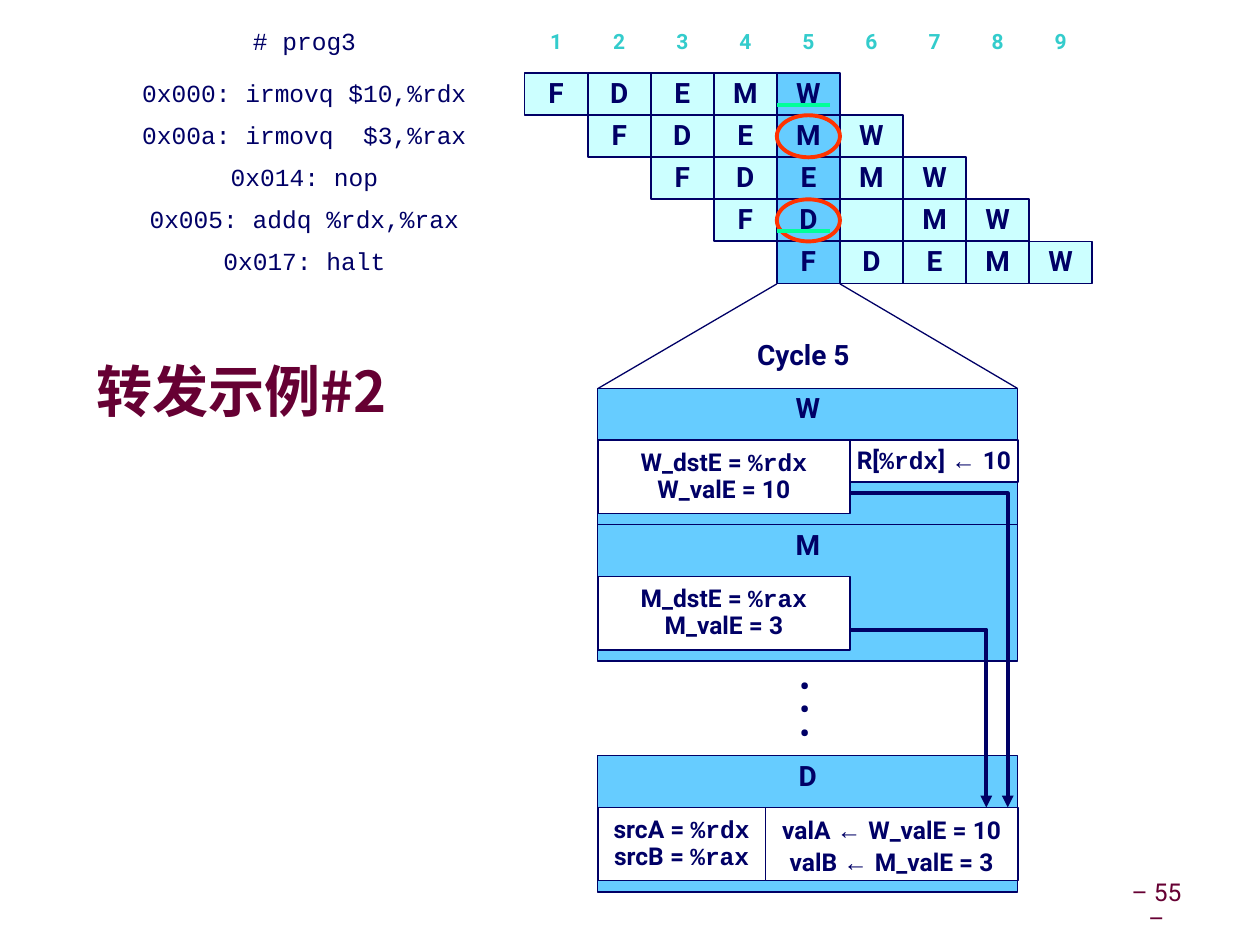
import pptx
import pptx.util
import pptx.dml.color
import pptx.enum.shapes
import pptx.enum.text
import pptx.oxml
import pptx.oxml.ns

Inches = pptx.util.Inches
Pt = pptx.util.Pt
ANCHOR = pptx.enum.text.MSO_ANCHOR
PRESET = pptx.enum.shapes.MSO_SHAPE

COLORS = {
    "navy": "000066", "maroon": "660033", "teal": "33CCCC", "white": "FFFFFF",
    "pale": "CCFFFF", "blue": "66CCFF", "red": "FF3300", "green": "00FF99",
}
SANS, MONO, ARROW, CJK = "Roboto", "Courier New", "Arial", "Noto Sans CJK SC"


def color(name):
    return pptx.dml.color.RGBColor.from_string(COLORS[name])


def write_text(frame, paragraphs, size=16, font=SANS, ink="navy", bold=True,
               spacing=0.9, anchor=ANCHOR.MIDDLE, wrap=False):
    """Each paragraph is a string or a list of (text, font) runs."""
    frame.word_wrap = wrap
    frame.auto_size = pptx.enum.text.MSO_AUTO_SIZE.NONE
    frame.vertical_anchor = anchor
    for index, content in enumerate(paragraphs):
        paragraph = frame.add_paragraph() if index else frame.paragraphs[0]
        paragraph.alignment = pptx.enum.text.PP_ALIGN.CENTER
        paragraph.line_spacing = spacing
        paragraph.space_before = Pt(0)
        runs = [(content, font)] if isinstance(content, str) else content
        for text, run_font in runs:
            run = paragraph.add_run()
            run.text = text
            run.font.name = run_font
            run.font.size = Pt(size)
            run.font.bold = bold
            run.font.color.rgb = color(ink)
            if run_font == CJK:
                latin = run.font._element.find(pptx.oxml.ns.qn("a:latin"))
                latin.addnext(latin.makeelement(
                    pptx.oxml.ns.qn("a:ea"), {"typeface": CJK}))


class PipelineSlide:
    def __init__(self, presentation):
        self.slide = presentation.slides.add_slide(presentation.slide_layouts[5])
        self.shapes = self.slide.shapes

    def title(self, text, box, **text_format):
        shape = self.shapes.title
        shape.left, shape.top, shape.width, shape.height = map(Inches, box)
        write_text(shape.text_frame, [text], **text_format)

    def text(self, paragraphs, box, **text_format):
        shape = self.shapes.add_textbox(*map(Inches, box))
        write_text(shape.text_frame, paragraphs, **text_format)
        return shape

    def shape(self, box, paragraphs=(), fill=None, line=None, weight=1,
              preset=PRESET.RECTANGLE, **text_format):
        shape = self.shapes.add_shape(preset, *map(Inches, box))
        shape.shadow.inherit = False
        if fill:
            shape.fill.solid()
            shape.fill.fore_color.rgb = color(fill)
        else:
            shape.fill.background()
        if line:
            self.stroke(shape, line, weight)
        else:
            shape.line.fill.background()
        write_text(shape.text_frame, paragraphs, **text_format)

    def stroke(self, shape, ink, weight):
        shape.line.color.rgb = color(ink)
        shape.line.width = Pt(weight)

    def line(self, start, end, ink="navy", weight=0.75):
        connector = self.shapes.add_connector(
            pptx.enum.shapes.MSO_CONNECTOR.STRAIGHT, *map(Inches, start + end))
        self.stroke(connector, ink, weight)
        properties = connector.element.spPr
        properties.append(properties.makeelement(pptx.oxml.ns.qn("a:effectLst")))

    def elbow_arrow(self, *points):
        start, *others = [tuple(map(Inches, point)) for point in points]
        builder = self.shapes.build_freeform(*start)
        builder.add_line_segments(others, close=False)
        arrow = builder.convert_to_shape()
        arrow.shadow.inherit = False
        arrow.fill.background()
        self.stroke(arrow, "navy", 2.25)
        outline = arrow.element.spPr.find(pptx.oxml.ns.qn("a:ln"))
        outline.append(outline.makeelement(
            pptx.oxml.ns.qn("a:tailEnd"), {"type": "triangle"}))


def main():
    presentation = pptx.Presentation()
    presentation.slide_width = Inches(9.99)
    presentation.slide_height = Inches(7.49)
    page = PipelineSlide(presentation)

    page.title("转发示例#2", (-0.58, 2.83, 4.99, 0.59), size=32, font=CJK,
               ink="maroon", wrap=True)

    # Program listing and pipeline grid
    cell_width, cell_height = 0.5, 1 / 3
    grid_left, grid_top, header_top, code_left = 4.16, 0.58, 0.17, 1
    program = [
        ("0x000: irmovq $10,%rdx", "FDEMW"),
        ("0x00a: irmovq  $3,%rax", "FDEMW"),
        ("0x014: nop", "FDEMW"),
        ("0x005: addq %rdx,%rax", ["F", "D", "", "M", "W"]),
        ("0x017: halt", "FDEMW"),
    ]
    current = 4

    def code(text, top):
        page.shape((code_left, top, 2.83, cell_height), [text], fill="white",
                   size=14, font=MONO, bold=False)

    def cell_box(column, top):
        return (grid_left + column * cell_width, top, cell_width, cell_height)

    code("# prog3", header_top)
    for cycle in range(9):
        page.shape(cell_box(cycle, header_top), [str(cycle + 1)], fill="white",
                   size=12, ink="teal")
    for row, (instruction, stages) in enumerate(program):
        top = grid_top + row * cell_height
        code(instruction, top)
        for column, stage in enumerate(stages, row):
            page.shape(cell_box(column, top), [stage] if stage else [], line="navy",
                       fill="blue" if column == current else "pale")

    # Forwarding marks in the current cycle
    current_left = grid_left + current * cell_width
    for row in (1, 3):
        page.shape(cell_box(current, grid_top + row * cell_height), line="red",
                   weight=2.25, preset=PRESET.OVAL)
    for top in (0.83, 1.83):
        page.line((current_left, top), (current_left + 0.42, top), "green", 2.25)

    # Enlarged view of the cycle
    left, width, right = 4.74, 3.33, 8.07
    page.line((current_left, 2.25), (left, 3.08))
    page.line((current_left + cell_width, 2.25), (right, 3.08))
    page.text(["Cycle 5"], (5.33, 2.66, 2.08, 0.34), anchor=ANCHOR.TOP, wrap=True)
    for stage, top in (("W", 3.08), ("M", 4.16), ("D", 5.99)):
        page.shape((left, top, width, 1.08), [stage], fill="blue", line="navy",
                   weight=0.75, anchor=ANCHOR.TOP)
    page.text(["•"] * 3, (6.24, 5.32, 0.28, 0.67), spacing=0.7, anchor=ANCHOR.TOP)

    # Register values
    values = [
        ((left, 3.49, 2, 0.58), 0.9,
         [[("W_dstE = ", SANS), ("%rdx", MONO)], "W_valE = 10"]),
        ((6.74, 3.49, 1.33, 0.33), 0.9,
         [[("R[", SANS), ("%rdx", MONO), ("] ", SANS), ("← ", ARROW), ("10", SANS)]]),
        ((left, 4.57, 2, 0.58), 0.9,
         [[("M_dstE = ", SANS), ("%rax", MONO)], "M_valE = 3"]),
        ((left, 6.4, 1.33, 0.58), 0.9,
         [[("srcA = ", SANS), ("%rdx", MONO)], [("srcB = ", SANS), ("%rax", MONO)]]),
        ((6.07, 6.4, 2, 0.58), 1.1,
         [[("valA ", SANS), ("← ", ARROW), ("W_valE = 10", SANS)],
          [("valB ", SANS), ("← ", ARROW), ("M_valE = 3", SANS)]]),
    ]
    for box, spacing, paragraphs in values:
        page.shape(box, paragraphs, fill="white", line="navy", size=14, spacing=spacing)

    # Forwarding paths
    for top, x in ((3.91, 7.99), (4.99, 7.82)):
        page.elbow_arrow((6.74, top), (x, top), (x, 6.4))

    # Page number
    number = page.text(["– 55 –"], (8.92, 7.03, 0.66, 0.31), size=14,
                       ink="maroon", bold=False, wrap=True)
    number.text_frame.margin_left = 0
    number.text_frame.margin_right = Inches(0.16)

    presentation.save("out.pptx")


if __name__ == "__main__":
    main()
